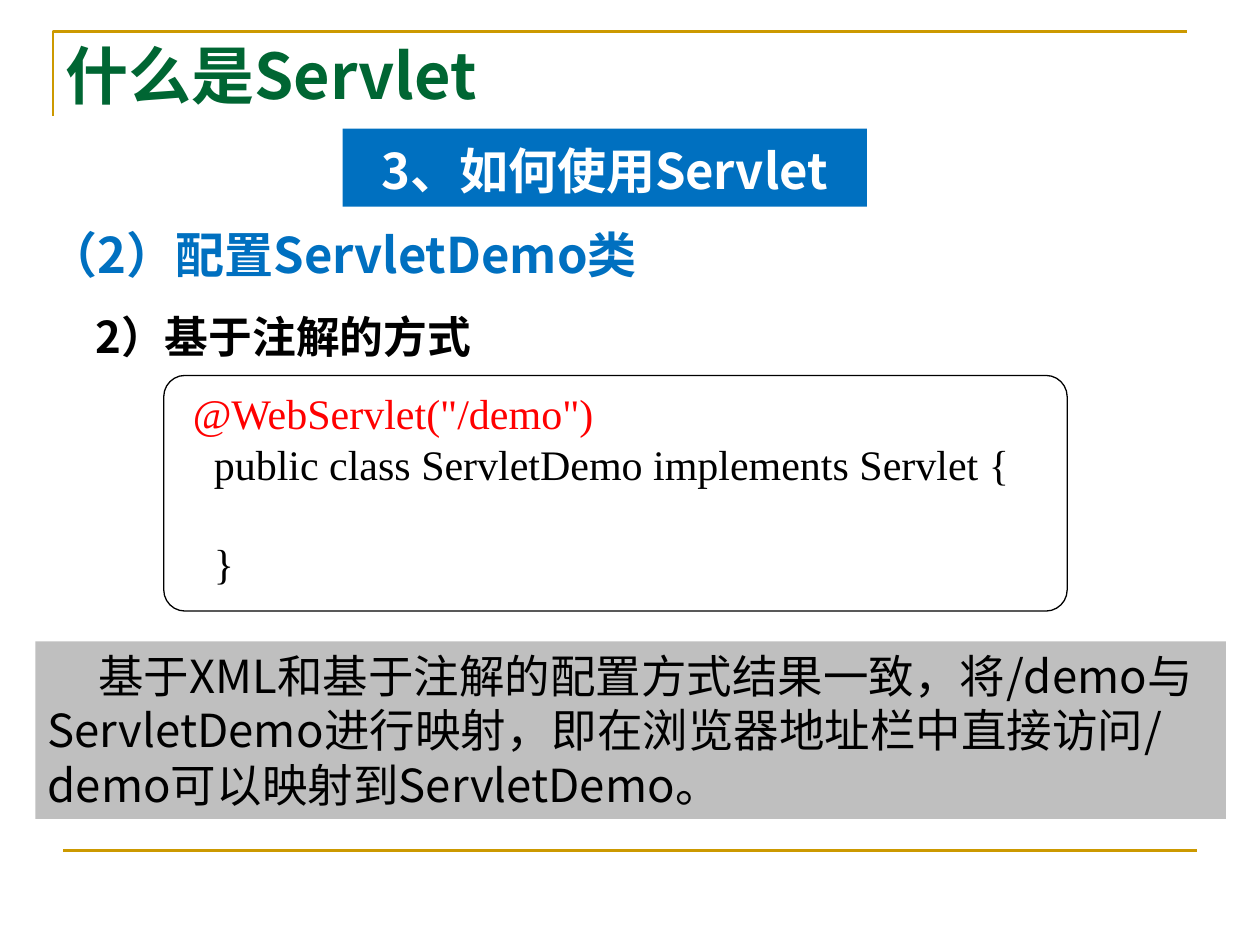
from pptx import Presentation
from pptx.dml.color import RGBColor
from pptx.enum.shapes import MSO_CONNECTOR, MSO_SHAPE
from pptx.enum.text import MSO_ANCHOR, PP_ALIGN
from pptx.oxml.ns import qn
from pptx.util import Inches, Pt
from lxml.etree import SubElement

THEME = {
    "sans": "Noto Sans CJK SC", "serif": "Times New Roman",
    "green": "006633", "blue": "0070C0", "gold": "CC9900", "gray": "BFBFBF",
    "black": "000000", "white": "FFFFFF", "red": "FF0000",
    "title": 36, "head": 28, "note": 26, "sub": 25, "code": 24,
}

# Each box: place, shape, look, then lines of (text, size, colour, bold, options)
BOXES = [
    {"at": (0.42, 0, 6.15, 0.94), "anchor": MSO_ANCHOR.BOTTOM,
     "lines": [("什么是Servlet", "title", "green", True, {})]},
    {"at": (0.28, 5.09, 9.45, 1.41), "shape": MSO_SHAPE.RECTANGLE, "fill": "gray",
     "lines": [("基于XML和基于注解的配置方式结果一致，将/demo与ServletDemo进行映射，"
                "即在浏览器地址栏中直接访问/demo可以映射到ServletDemo。",
                "note", "black", False, {"indent": 0.4})]},
    {"at": (0.29, 1.73, 9.45, 0.6),
     "lines": [("（2）配置ServletDemo类", "head", "blue", True, {})]},
    {"at": (0.35, 2.41, 3.64, 0.52),
     "lines": [("2）基于注解的方式", "sub", "black", True, {"indent": 0.31})]},
    {"at": (2.72, 1.02, 4.16, 0.62), "shape": MSO_SHAPE.RECTANGLE, "fill": "blue",
     "lines": [("3、如何使用Servlet", "head", "white", True,
                {"align": PP_ALIGN.CENTER, "spacing": 1.1})]},
    {"at": (1.3, 2.98, 7.17, 1.87), "shape": MSO_SHAPE.ROUNDED_RECTANGLE,
     "line": "black", "round": 0.09, "font": "serif",
     "lines": [(' @WebServlet("/demo")', "code", "red", False, {}),
               ("   public class ServletDemo implements Servlet {",
                "code", "black", False, {}),
               ("   }", "code", "black", False, {"before": 28})]},
]
CORNER = [(0.42, 0.92), (0.42, 0.25), (9.42, 0.25)]
RULE = (0.5, 6.75, 9.5, 6.75)


def color(name):
    return RGBColor.from_string(THEME[name])


def add_line(para, line, font):
    text, size, tint, bold, opts = line
    para.alignment = opts.get("align", PP_ALIGN.LEFT)
    if "spacing" in opts:
        para.line_spacing = opts["spacing"]
    if "before" in opts:
        para.space_before = Pt(opts["before"])
    if "indent" in opts:
        para._p.get_or_add_pPr().set("indent", str(Inches(opts["indent"])))
    run = para.add_run()
    run.text = text
    run.font.name = THEME[font]
    run.font.size = Pt(THEME[size])
    run.font.bold = bold
    run.font.color.rgb = color(tint)
    SubElement(run._r.get_or_add_rPr(), qn("a:ea"), typeface=THEME[font])


def add_box(slide, box):
    place = [Inches(v) for v in box["at"]]
    if "shape" in box:
        shape = slide.shapes.add_shape(box["shape"], *place)
        shape.shadow.inherit = False
        if "round" in box:
            shape.adjustments[0] = box["round"]
    else:
        shape = slide.shapes.add_textbox(*place)
    if "fill" in box:
        shape.fill.solid()
        shape.fill.fore_color.rgb = color(box["fill"])
    else:
        shape.fill.background()
    if "line" in box:
        shape.line.color.rgb = color(box["line"])
        shape.line.width = Pt(0.75)
    else:
        shape.line.fill.background()
    frame = shape.text_frame
    frame.word_wrap = True
    frame.vertical_anchor = box.get("anchor", MSO_ANCHOR.TOP)
    for i, line in enumerate(box["lines"]):
        para = frame.add_paragraph() if i else frame.paragraphs[0]
        add_line(para, line, box.get("font", "sans"))


def add_frame(slide):
    """Draw the gold corner at the top and the rule at the foot."""
    start, *rest = [(Inches(x), Inches(y)) for x, y in CORNER]
    path = slide.shapes.build_freeform(*start)
    path.add_line_segments(rest, close=False)
    corner = path.convert_to_shape()
    corner.shadow.inherit = False
    corner.fill.background()
    rule = slide.shapes.add_connector(MSO_CONNECTOR.STRAIGHT,
                                      *[Inches(v) for v in RULE])
    for item in (corner, rule):
        item.line.color.rgb = color("gold")
        item.line.width = Pt(1.5)
    SubElement(rule._element.spPr, qn("a:effectLst"))


def main():
    deck = Presentation()
    deck.slide_width, deck.slide_height = Inches(10), Inches(7.5)
    slide = deck.slides.add_slide(deck.slide_layouts[6])
    add_frame(slide)
    for box in BOXES:
        add_box(slide, box)
    deck.save("out.pptx")


if __name__ == "__main__":
    main()
